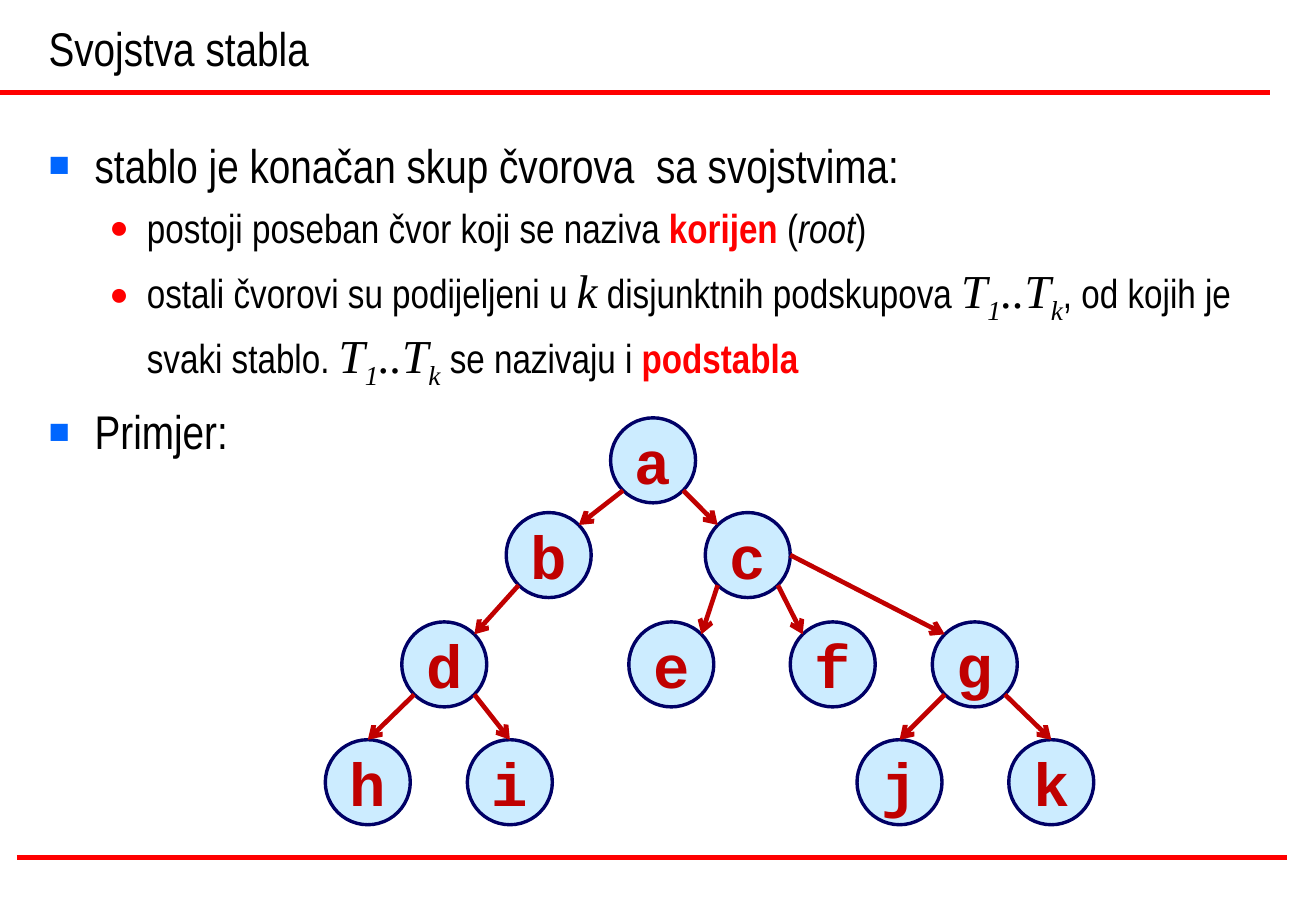
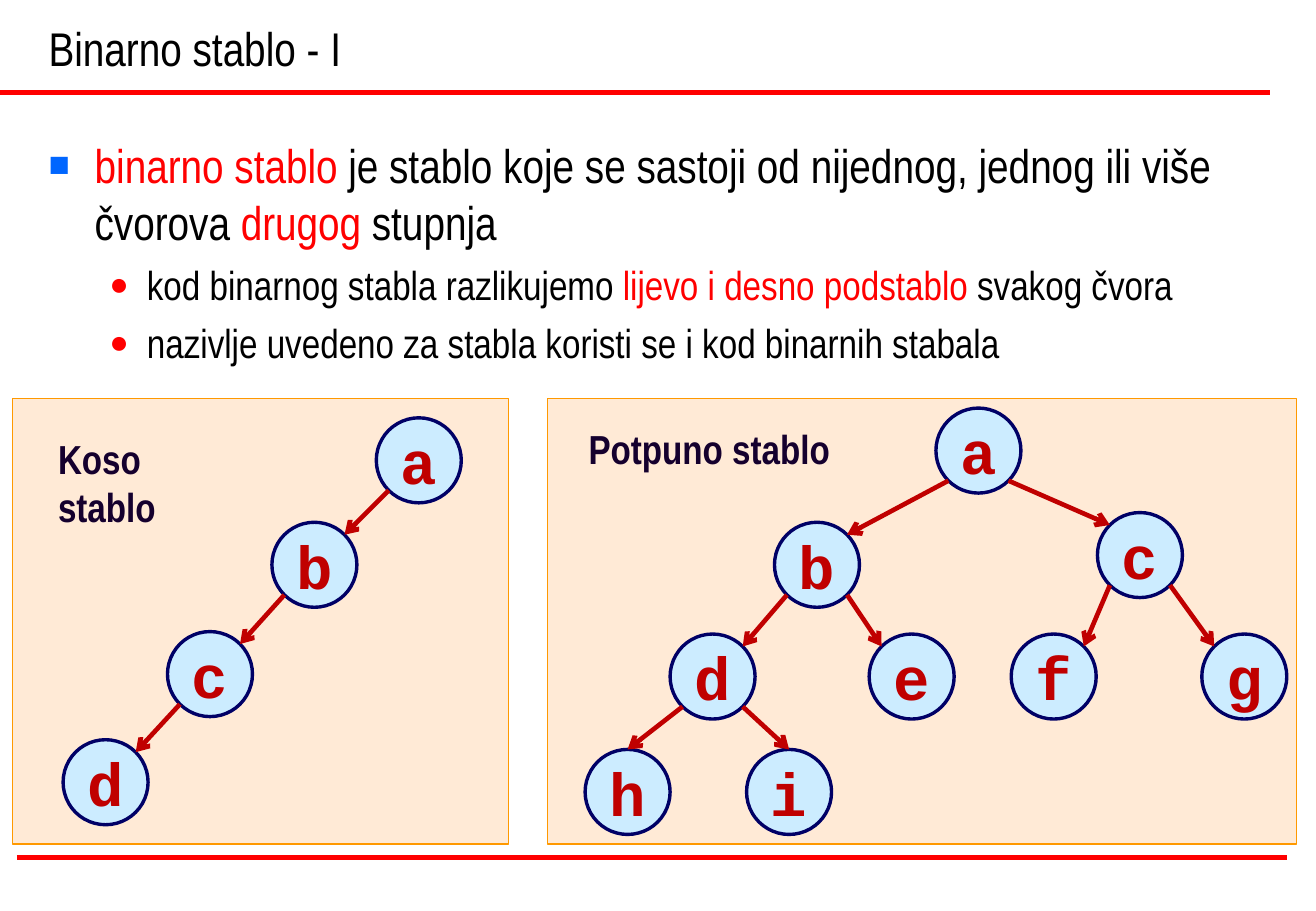
from lxml import etree
from pptx import Presentation
from pptx.dml.color import RGBColor
from pptx.enum.shapes import MSO_CONNECTOR, MSO_SHAPE
from pptx.enum.text import MSO_ANCHOR, MSO_AUTO_SIZE, PP_ALIGN
from pptx.oxml import parse_xml
from pptx.oxml.ns import nsdecls, qn
from pptx.util import Inches, Pt

STRAIGHT = MSO_CONNECTOR.STRAIGHT
OVAL, RECTANGLE = MSO_SHAPE.OVAL, MSO_SHAPE.RECTANGLE
TOP, MIDDLE, BOTTOM = MSO_ANCHOR.TOP, MSO_ANCHOR.MIDDLE, MSO_ANCHOR.BOTTOM
NO_AUTOFIT, CENTER = MSO_AUTO_SIZE.NONE, PP_ALIGN.CENTER

BLACK = RGBColor(0x00, 0x00, 0x00)
RED = RGBColor(0xFF, 0x00, 0x00)
BLUE = RGBColor(0x00, 0x66, 0xFF)
NODE_FILL = RGBColor(0xCC, 0xEC, 0xFF)
NODE_LINE = RGBColor(0x00, 0x00, 0x66)
DARK_RED = RGBColor(0xC0, 0x00, 0x00)
PANEL_FILL = RGBColor(0xFF, 0xCC, 0x99)
PANEL_LINE = RGBColor(0xFF, 0x99, 0x00)
CAPTION_COLOR = RGBColor(0x15, 0x00, 0x2E)

TEXT_FONT, NODE_FONT, MATH_FONT = "Arial Narrow", "Courier New", "Times New Roman"

# Text pieces: plain strings, or (text, style)
SUBTREES = [("T", "math"), ("1", "sub"), ("..T", "math"), ("k", "sub")]

SLIDES = [
    {
        "title": "Svojstva stabla",
        "body": [
            (0, ["stablo je konačan skup čvorova  sa svojstvima:"]),
            (1, ["postoji poseban čvor koji se naziva ", ("korijen", "term"),
                 " (", ("root", "italic"), ")"]),
            (1, ["ostali čvorovi su podijeljeni u ", ("k", "math"),
                 " disjunktnih podskupova ", *SUBTREES,
                 ", od kojih je svaki stablo. ", *SUBTREES,
                 " se nazivaju i ", ("podstabla", "term")]),
            (0, ["Primjer:"]),
        ],
        "trees": [{
            "nodes": {"a": (5.03, 3.44), "b": (4.17, 4.22), "c": (5.81, 4.22),
                      "d": (3.31, 5.12), "e": (5.18, 5.12), "f": (6.51, 5.12),
                      "g": (7.68, 5.12), "h": (2.68, 6.09), "i": (3.85, 6.09),
                      "j": (7.06, 6.09), "k": (8.31, 6.09)},
            "children": {"a": "bc", "b": "d", "c": "efg", "d": "hi", "g": "jk"},
            "entered_on_top": "hijk",
        }],
    },
    {
        "title": "Binarno stablo - I",
        "body": [
            (0, [("binarno stablo ", "red"),
                 "je stablo koje se sastoji od nijednog, jednog ili više čvorova ",
                 ("drugog", "red"), " stupnja"]),
            (1, ["kod binarnog stabla razlikujemo ",
                 ("lijevo i desno podstablo ", "red"), "svakog čvora"]),
            (1, ["nazivlje uvedeno za stabla koristi se i kod binarnih stabala"]),
        ],
        "trees": [
            {
                "panel": (0.1, 3.28, 4.09, 3.67),
                "caption": ("Koso stablo", (0.38, 3.52, 1.76, 0.5)),
                "nodes": {"a": (3.1, 3.44), "b": (2.24, 4.3),
                          "c": (1.38, 5.2), "d": (0.52, 6.09)},
                "children": {"a": "b", "b": "c", "c": "d"},
                "entered_on_top": "",
            },
            {
                "panel": (4.51, 3.28, 6.17, 3.67),
                "caption": ("Potpuno stablo", (4.75, 3.44, 2.19, 0.5)),
                "nodes": {"a": (7.71, 3.36), "b": (6.38, 4.3), "c": (9.04, 4.22),
                          "d": (5.52, 5.22), "e": (7.16, 5.22), "f": (8.33, 5.22),
                          "g": (9.9, 5.22), "h": (4.82, 6.17), "i": (6.15, 6.17)},
                "children": {"a": "bc", "b": "de", "c": "fg", "d": "hi"},
                "entered_on_top": "hi",
            },
        ],
    },
]

RULES = [((0, 0.76), (10.46, 0.76)), ((0.14, 7.06), (10.6, 7.06))]
TITLE_BOX = (0.3, 0, 10.16, 0.68)
BODY_BOX = (0.3, 1.07, 10.24, 5.83)
# Left margin, hanging indent, space before, bullet, its colour and percent, text size
BODY_LEVELS = [(0.38, -0.38, 7, "■", BLUE, 75, 28),
               (0.81, -0.31, 6, "●", RED, 80, 24)]

NODE_SIZE = 0.7
FAR_REACH = 1.4  # a child further away than this is reached from the parent's side
# Connection sites of an ellipse: index and place as fractions of its size
SITES = {"top": (0, 0.5, 0), "top left": (1, 0.146, 0.146),
         "bottom left": (3, 0.146, 0.854), "bottom right": (5, 0.854, 0.854),
         "left": (2, 0, 0.5), "right": (6, 1, 0.5), "top right": (7, 0.854, 0.146)}


def inches(values):
    return [Inches(value) for value in values]


def add_line(slide, start, end, color, width):
    line = slide.shapes.add_connector(STRAIGHT, *inches(start), *inches(end))
    line.line.color.rgb = color
    line.line.width = Pt(width)
    etree.SubElement(line.element.spPr, qn("a:effectLst"))
    return line


def style_master(master):
    """Place the title and body placeholders and set their text styles."""
    title, body = list(master.placeholders)[:2]
    for holder, box, anchor in ((title, TITLE_BOX, BOTTOM), (body, BODY_BOX, TOP)):
        holder.left, holder.top, holder.width, holder.height = inches(box)
        holder.text_frame.auto_size = NO_AUTOFIT
        holder.text_frame.vertical_anchor = anchor

    def set_level(style, level, attributes, details, size):
        tag = f"a:lvl{level}pPr"
        old = master.element.find(f".//{qn(style)}/{qn(tag)}")
        old.getparent().replace(old, parse_xml(
            f'<{tag} {nsdecls("a")} algn="l" {attributes}>{details}'
            f'<a:defRPr sz="{size * 100}"><a:solidFill><a:srgbClr val="{BLACK}"/>'
            f'</a:solidFill><a:latin typeface="{TEXT_FONT}"/></a:defRPr></{tag}>'))

    set_level("p:titleStyle", 1, "", "<a:buNone/>", 28)
    for level, (margin, indent, before, bullet, color, percent, size) in enumerate(
            BODY_LEVELS, start=1):
        set_level(
            "p:bodyStyle", level,
            f'marL="{Inches(margin)}" indent="{Inches(indent)}"',
            f'<a:spcBef><a:spcPts val="{before * 100}"/></a:spcBef>'
            f'<a:buClr><a:srgbClr val="{color}"/></a:buClr>'
            f'<a:buSzPct val="{percent * 1000}"/><a:buFont typeface="Arial"/>'
            f'<a:buChar char="{bullet}"/>', size)


def move_rules_to_master(slide, master):
    for start, end in RULES:
        master.shapes.element.append(add_line(slide, start, end, RED, 3).element)


def style_run(run, style):
    font = run.font
    if style in ("red", "term"):
        font.color.rgb = RED
    if style == "term":
        font.bold = True
    if style in ("italic", "math", "sub"):
        font.italic = True
    if style in ("math", "sub"):
        font.name, font.size = MATH_FONT, Pt(28)
    if style == "sub":
        run._r.get_or_add_rPr().set("baseline", "-25000")


def fill_body(text_frame, items):
    for index, (level, pieces) in enumerate(items):
        paragraph = text_frame.add_paragraph() if index else text_frame.paragraphs[0]
        paragraph.level = level
        if not index:
            paragraph.space_before = Pt(0)
        for piece in pieces:
            text, style = (piece, "") if isinstance(piece, str) else piece
            run = paragraph.add_run()
            run.text = text
            style_run(run, style)


def add_filled(slide, kind, box, fill, line, width):
    shape = slide.shapes.add_shape(kind, *inches(box))
    shape.shadow.inherit = False
    shape.fill.solid()
    shape.fill.fore_color.rgb = fill
    shape.line.color.rgb = line
    shape.line.width = Pt(width)
    return shape


def set_label(shape, text, font_name, size, color):
    """Write one bold, unwrapped line into a shape."""
    shape.text_frame.text = text
    shape.text_frame.word_wrap = False
    font = shape.text_frame.paragraphs[0].runs[0].font
    font.name, font.size, font.bold = font_name, Pt(size), True
    font.color.rgb = color


def add_panel(slide, box):
    panel = add_filled(slide, RECTANGLE, box, PANEL_FILL, PANEL_LINE, 0.75)
    fill_color = panel.element.spPr.find(f"{qn('a:solidFill')}/{qn('a:srgbClr')}")
    etree.SubElement(fill_color, qn("a:alpha"), val="40000")


def add_node(slide, letter, corner):
    node = add_filled(slide, OVAL, (*corner, NODE_SIZE, NODE_SIZE),
                      NODE_FILL, NODE_LINE, 2)
    set_label(node, letter, NODE_FONT, 36, DARK_RED)
    node.text_frame.vertical_anchor = MIDDLE
    node.text_frame.paragraphs[0].alignment = CENTER
    return node


def add_edge(slide, tree, ovals, parent, child):
    """Draw an arrow glued to the facing sites of two nodes."""
    offset = tree["nodes"][child][0] - tree["nodes"][parent][0]
    toward, back = ("right", "left") if offset > 0 else ("left", "right")
    exit_site = toward if abs(offset) > FAR_REACH else f"bottom {toward}"
    entry_site = "top" if child in tree["entered_on_top"] else f"top {back}"

    points, glue = [], []
    for letter, site, tag in ((parent, exit_site, "a:stCxn"),
                              (child, entry_site, "a:endCxn")):
        index, across, down = SITES[site]
        left, top = tree["nodes"][letter]
        points.append((left + across * NODE_SIZE, top + down * NODE_SIZE))
        glue.append((tag, ovals[letter].shape_id, index))

    arrow = add_line(slide, *points, DARK_RED, 2.75)
    etree.SubElement(arrow.line._get_or_add_ln(), qn("a:tailEnd"), type="arrow")
    properties = arrow.element.find(f".//{qn('p:cNvCxnSpPr')}")
    for tag, shape_id, index in glue:
        etree.SubElement(properties, qn(tag), id=str(shape_id), idx=str(index))


def add_tree(slide, tree):
    if "panel" in tree:
        add_panel(slide, tree["panel"])
    ovals = {letter: add_node(slide, letter, corner)
             for letter, corner in tree["nodes"].items()}
    for parent, children in tree["children"].items():
        for child in children:
            add_edge(slide, tree, ovals, parent, child)
    if "caption" in tree:
        text, box = tree["caption"]
        caption = slide.shapes.add_textbox(*inches(box))
        set_label(caption, text, TEXT_FONT, 24, CAPTION_COLOR)


def main():
    deck = Presentation()
    deck.slide_width, deck.slide_height = Inches(10.84), Inches(7.5)
    style_master(deck.slide_master)
    for content in SLIDES:
        slide = deck.slides.add_slide(deck.slide_layouts[1])
        if content is SLIDES[0]:
            move_rules_to_master(slide, deck.slide_master)
        slide.shapes.title.text_frame.text = content["title"]
        fill_body(slide.placeholders[1].text_frame, content["body"])
        for tree in content["trees"]:
            add_tree(slide, tree)
    deck.save("out.pptx")


if __name__ == "__main__":
    main()
